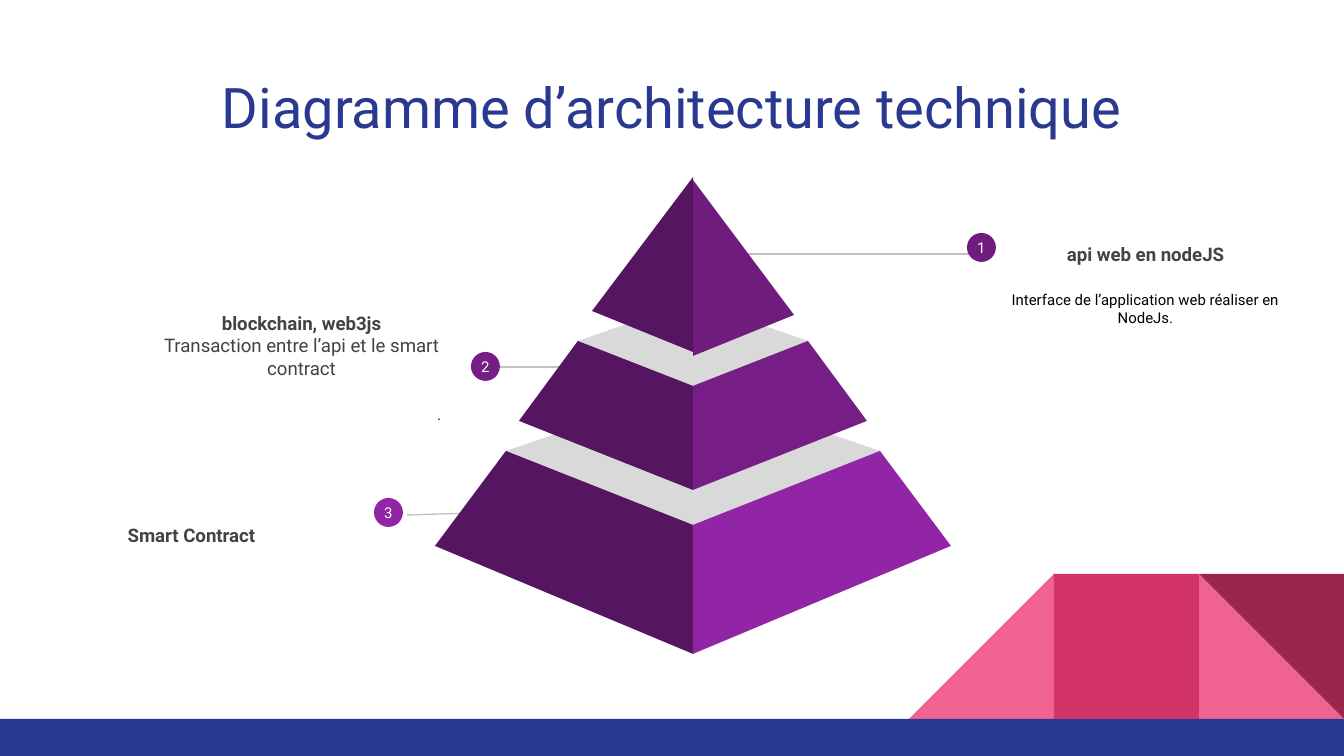
import pptx
import pptx.dml.color
import pptx.enum.shapes
import pptx.enum.text
import pptx.oxml.ns
import pptx.util
from lxml import etree

WIDE, HIGH = 1344, 756
SCALE = pptx.util.Inches(10) / WIDE
FONT = "Roboto"
NAVY, DARK, GREY, LID = "2A3990", "551561", "434343", "D9D9D9"
AXIS = 693  # x of the pyramid's front edge
KIND = pptx.enum.shapes.MSO_SHAPE
ALIGN = pptx.enum.text.PP_ALIGN
ANCHOR = pptx.enum.text.MSO_ANCHOR


def px(num):
    return round(num * SCALE)


def rgb(code):
    return pptx.dml.color.RGBColor.from_string(code)


def paint(shape, color):
    shape.shadow.inherit = False
    shape.fill.solid()
    shape.fill.fore_color.rgb = rgb(color)
    shape.line.fill.background()


def add_block(slide, kind, box, color, turn=0):
    shape = slide.shapes.add_shape(kind, *map(px, box))
    paint(shape, color)
    shape.rotation = turn
    return shape


def add_face(slide, points, color):
    spots = [(px(x), px(y)) for x, y in points]
    build = slide.shapes.build_freeform(*spots[0], scale=1.0)
    build.add_line_segments(spots[1:], close=True)
    paint(build.convert_to_shape(), color)


def style(para, size, color, bold=False, align=ALIGN.CENTER):
    para.alignment = align
    for run in para.runs:
        run.font.name = FONT
        run.font.size = pptx.util.Pt(size)
        run.font.bold = bold
        run.font.color.rgb = rgb(color)


def set_title(slide, text):
    title = slide.shapes.title
    title.left, title.top, title.width, title.height = map(px, (46, 60, 1252, 89))
    frame = title.text_frame
    frame.text = text
    frame.auto_size = pptx.enum.text.MSO_AUTO_SIZE.NONE
    frame.vertical_anchor = ANCHOR.TOP
    frame.margin_left = frame.margin_right = px(13)
    frame.margin_top = frame.margin_bottom = px(13)
    style(frame.paragraphs[0], 30, NAVY)


def add_lead(slide, start, end):
    """Thin line from the pyramid to a badge."""
    line = slide.shapes.add_connector(
        pptx.enum.shapes.MSO_CONNECTOR.STRAIGHT, *map(px, start + end))
    line.line.color.rgb = rgb("C2C2C2")
    line.line.width = pptx.util.Pt(0.75)
    etree.SubElement(line._element.spPr, pptx.oxml.ns.qn("a:effectLst"))


def add_badge(slide, spot, text, color):
    badge = add_block(slide, KIND.OVAL, spot + (29, 29), color)
    frame = badge.text_frame
    frame.margin_left = frame.margin_right = 0
    frame.margin_top = frame.margin_bottom = 0
    frame.word_wrap = False
    frame.vertical_anchor = ANCHOR.MIDDLE
    frame.text = text
    style(frame.paragraphs[0], 8, "FFFFFF")


def add_label(slide, spot, rows, low=13):
    """Rows are (text, size, color, bold, align, space before); low is the bottom inset."""
    frame = slide.shapes.add_textbox(*map(px, spot + (305, 155))).text_frame
    frame.word_wrap = True
    frame.vertical_anchor = ANCHOR.MIDDLE
    frame.margin_left = frame.margin_right = frame.margin_top = px(13)
    frame.margin_bottom = px(low)
    frame.text = "\n".join(row[0] for row in rows)
    for para, (_, size, color, bold, align, gap) in zip(frame.paragraphs, rows):
        style(para, size, color, bold, align)
        para.space_before = pptx.util.Pt(gap)


def add_tier(slide, rim, foot, back, front, base, color):
    """Cut tier: rim and foot are its left corners, the right side is mirrored."""
    def flip(spot):
        return 2 * AXIS - spot[0], spot[1]

    near, tip = (AXIS, front), (AXIS, base)
    add_face(slide, [rim, near, flip(rim), (AXIS, back)], LID)
    add_face(slide, [rim, foot, tip, near], DARK)
    add_face(slide, [flip(rim), flip(foot), tip, near], color)


def add_decor(slide):
    side, top, left = 145, 574, 909
    mid, right = left + side, left + 2 * side
    for kind, x, color, turn in [
        (KIND.RIGHT_TRIANGLE, right, "F06292", 0),
        (KIND.RIGHT_TRIANGLE, left, "F06292", 270),
        (KIND.RECTANGLE, mid, "D23369", 0),
        (KIND.RIGHT_TRIANGLE, right, "9C254D", 180),
    ]:
        add_block(slide, kind, (x, top, side, side), color, turn)
    add_block(slide, KIND.RECTANGLE, (0, 719, WIDE, 37), NAVY)


def main():
    deck = pptx.Presentation()
    deck.slide_width, deck.slide_height = px(WIDE), px(HIGH)
    slide = deck.slides.add_slide(deck.slide_layouts[5])

    add_decor(slide)
    set_title(slide, "Diagramme d’architecture technique")

    mid, right = ALIGN.CENTER, ALIGN.RIGHT
    add_label(slide, (39, 480), [("Smart Contract", 10, GREY, True, mid, 0)], low=57)
    add_label(slide, (993, 207), [
        ("api web en nodeJS", 10, GREY, True, mid, 0),
        ("Interface de l’application web réaliser en NodeJs.",
         8, "000000", False, mid, 14),
    ])
    add_label(slide, (149, 290), [
        ("blockchain, web3js", 10, GREY, True, mid, 0),
        ("Transaction entre l’api et le smart contract", 10, GREY, False, mid, 0),
        (".", 8, "000000", False, right, 14),
    ])

    for text, start, end, spot, color in [
        ("3", (542, 511), (407, 515), (374, 498), "9225A5"),
        ("1", (746, 254), (972, 254), (967, 233), "701C7F"),
        ("2", (641, 367), (474, 367), (471, 352), "761E86"),
    ]:
        add_lead(slide, start, end)
        add_badge(slide, spot, text, color)

    add_tier(slide, (506, 451), (435, 546), 387, 525, 654, "9225A5")
    add_tier(slide, (578, 341), (519, 421), 301, 386, 490, "761E86")
    add_face(slide, [(AXIS, 177), (592, 311), (AXIS, 352)], DARK)
    add_face(slide, [(AXIS, 180), (794, 315), (AXIS, 356)], "701C7F")

    deck.save("out.pptx")


if __name__ == "__main__":
    main()
